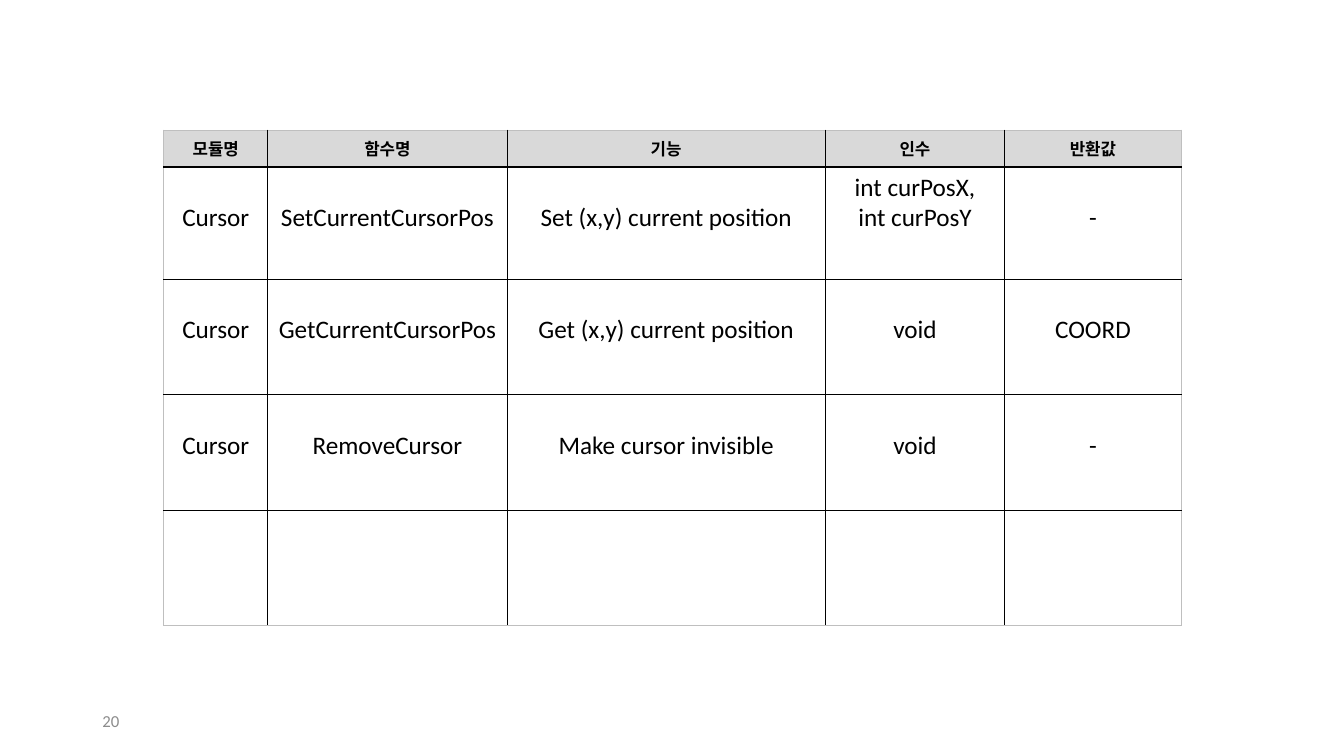
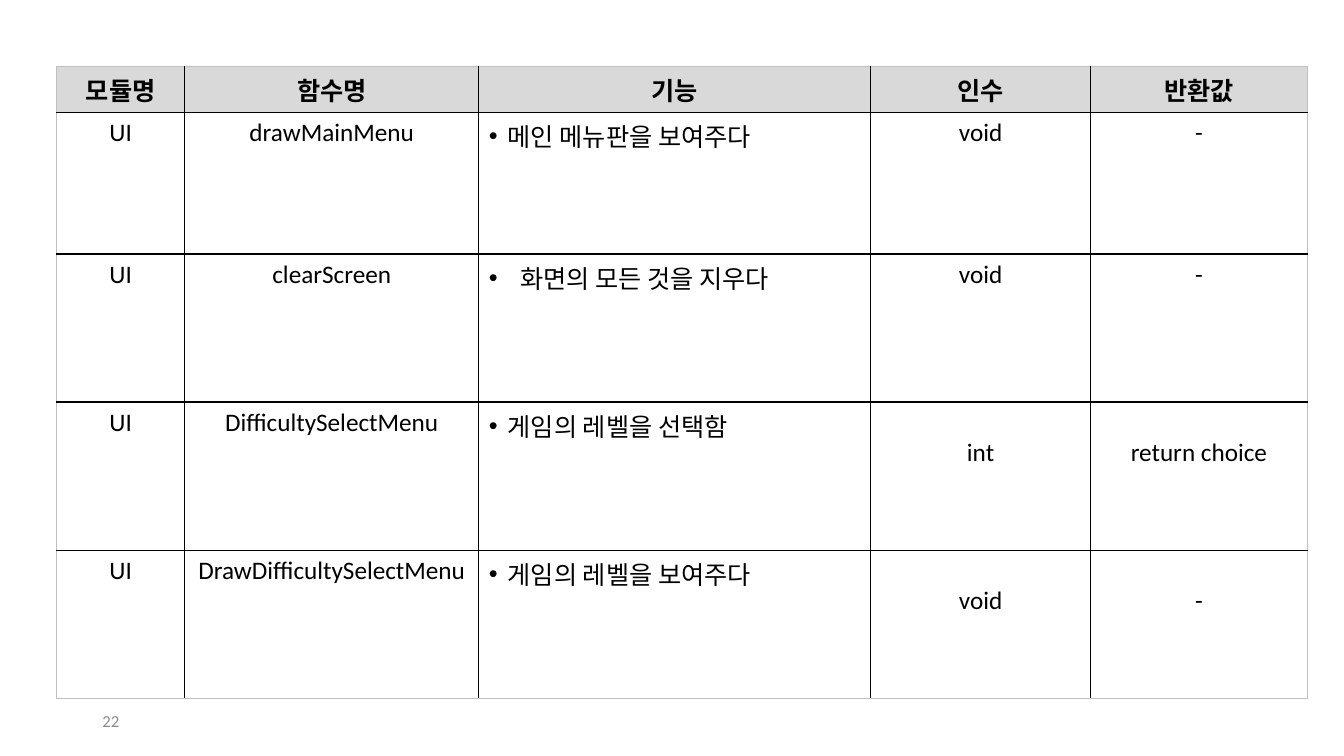
from pptx import Presentation
from pptx.dml.color import RGBColor
from pptx.enum.text import MSO_ANCHOR, PP_ALIGN
from pptx.oxml.ns import qn
from pptx.util import Pt
from lxml import etree

PX = 9525
FONT = "Calibri"
BLACK = RGBColor(0x00, 0x00, 0x00)
GRAY = RGBColor(0xD9, 0xD9, 0xD9)
EDGE = RGBColor(0xBF, 0xBF, 0xBF)
MUTED = RGBColor(0x8C, 0x8C, 0x8C)
MID, TOP = MSO_ANCHOR.MIDDLE, MSO_ANCHOR.TOP
MIDST, LEFT = PP_ALIGN.CENTER, PP_ALIGN.LEFT
LOW = 34
HEAD = ["모듈명", "함수명", "기능", "인수", "반환값"]

CURSOR = {
    "page": "20", "left": 156, "top": 124, "head": 12,
    "cols": [99, 228, 303, 171, 168],
    "rows": [35, 107, 110, 110, 110],
    "body": [
        ["Cursor", "SetCurrentCursorPos", "Set (x,y) current position",
         "int curPosX,\nint curPosY", "-"],
        ["Cursor", "GetCurrentCursorPos", "Get (x,y) current position",
         "void", "COORD"],
        ["Cursor", "RemoveCursor", "Make cursor invisible", "void", "-"],
        [""] * 5,
    ],
    "low": {(r, c) for r in (1, 2, 3) for c in range(5)} - {(1, 3)},
    "dots": {},
}
SCREEN = {
    "page": "22", "left": 54, "top": 63, "head": 18,
    "cols": [122, 280, 373, 210, 206],
    "rows": [44, 135, 141, 141, 141],
    "body": [
        ["UI", "drawMainMenu", "메인 메뉴판을 보여주다", "void", "-"],
        ["UI", "clearScreen", "화면의 모든 것을 지우다", "void", "-"],
        ["UI", "DifficultySelectMenu", "게임의 레벨을 선택함",
         "int", "return choice"],
        ["UI", "DrawDifficultySelectMenu", "게임의 레벨을 보여주다",
         "void", "-"],
    ],
    "low": {(r, c) for r in (3, 4) for c in (3, 4)},
    "dots": {(1, 2): 18, (2, 2): 30, (3, 2): 18, (4, 2): 18},
}


def style(para, size, color=BLACK, bold=False, align=LEFT):
    para.alignment = align
    look = {"name": FONT, "size": Pt(size), "bold": bold}
    for key, value in look.items():
        setattr(para.font, key, value)
    para.font.color.rgb = color


def bullet(para, indent):
    props = para._p.get_or_add_pPr()
    props.set("marL", str(indent * PX))
    props.set("indent", str(-indent * PX))
    etree.SubElement(props, qn("a:buFont"), typeface="Arial")
    etree.SubElement(props, qn("a:buChar"), char="•")


def border(cell, outer):
    props = cell._tc.get_or_add_tcPr()
    for side in "LRTB":
        line = etree.SubElement(props, qn("a:ln" + side), w=str(Pt(1)))
        fill = etree.SubElement(line, qn("a:solidFill"))
        tone = EDGE if side in outer else BLACK
        etree.SubElement(fill, qn("a:srgbClr"), val=str(tone))


def add_page(slide, text):
    box = slide.shapes.add_textbox(88 * PX, 667 * PX, 288 * PX, 38 * PX)
    frame = box.text_frame
    frame.word_wrap = True
    frame.vertical_anchor = MID
    frame.text = text
    style(frame.paragraphs[0], 12, MUTED)


def fill_cell(cell, text, spot, data):
    row, col = spot
    head = row == 0
    ends = {"L": col == 0, "R": col == len(data["cols"]) - 1,
            "T": head, "B": row == len(data["rows"]) - 1}
    border(cell, [side for side, end in ends.items() if end])
    if head:
        cell.fill.solid()
        cell.fill.fore_color.rgb = GRAY
    else:
        cell.fill.background()
    cell.vertical_anchor = MID if head else TOP
    if spot in data["low"]:
        cell.margin_top = LOW * PX
    cell.text = text
    indent = data["dots"].get(spot)
    for para in cell.text_frame.paragraphs:
        if indent:
            bullet(para, indent)
        style(para, data["head"] if head else 18, bold=head,
              align=LEFT if indent else MIDST)


def add_grid(slide, data):
    cols, rows = data["cols"], data["rows"]
    frame = slide.shapes.add_table(
        len(rows), len(cols), data["left"] * PX, data["top"] * PX,
        sum(cols) * PX, sum(rows) * PX)
    table = frame.table
    table.first_row = table.horz_banding = False
    for col, width in zip(table.columns, cols):
        col.width = width * PX
    for row, height in zip(table.rows, rows):
        row.height = height * PX
    for r, texts in enumerate([HEAD] + data["body"]):
        for c, text in enumerate(texts):
            fill_cell(table.cell(r, c), text, (r, c), data)


def main():
    deck = Presentation()
    deck.slide_width, deck.slide_height = 1280 * PX, 720 * PX
    for data in (CURSOR, SCREEN):
        slide = deck.slides.add_slide(deck.slide_layouts[6])
        add_page(slide, data["page"])
        add_grid(slide, data)
    deck.save("out.pptx")


if __name__ == "__main__":
    main()
